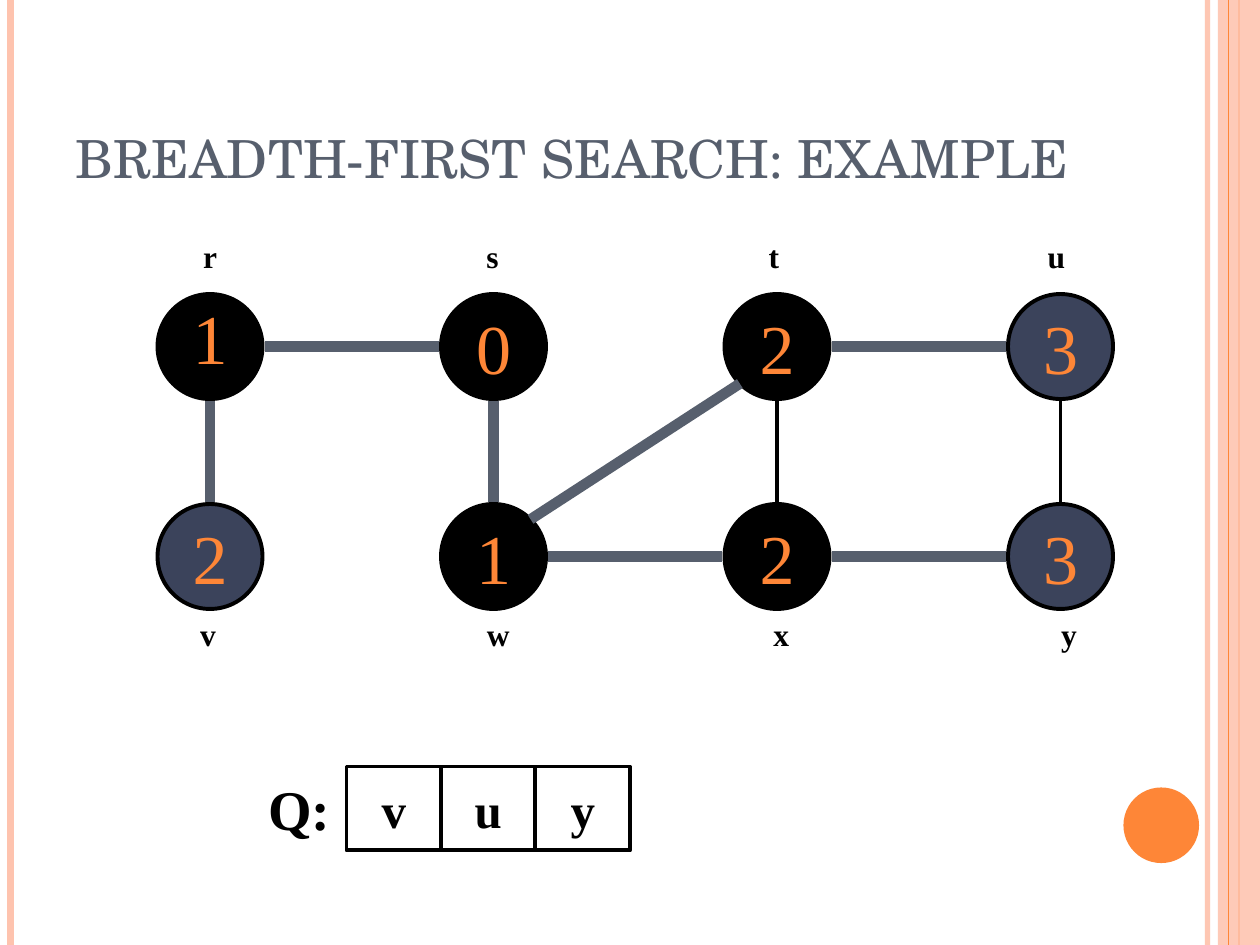
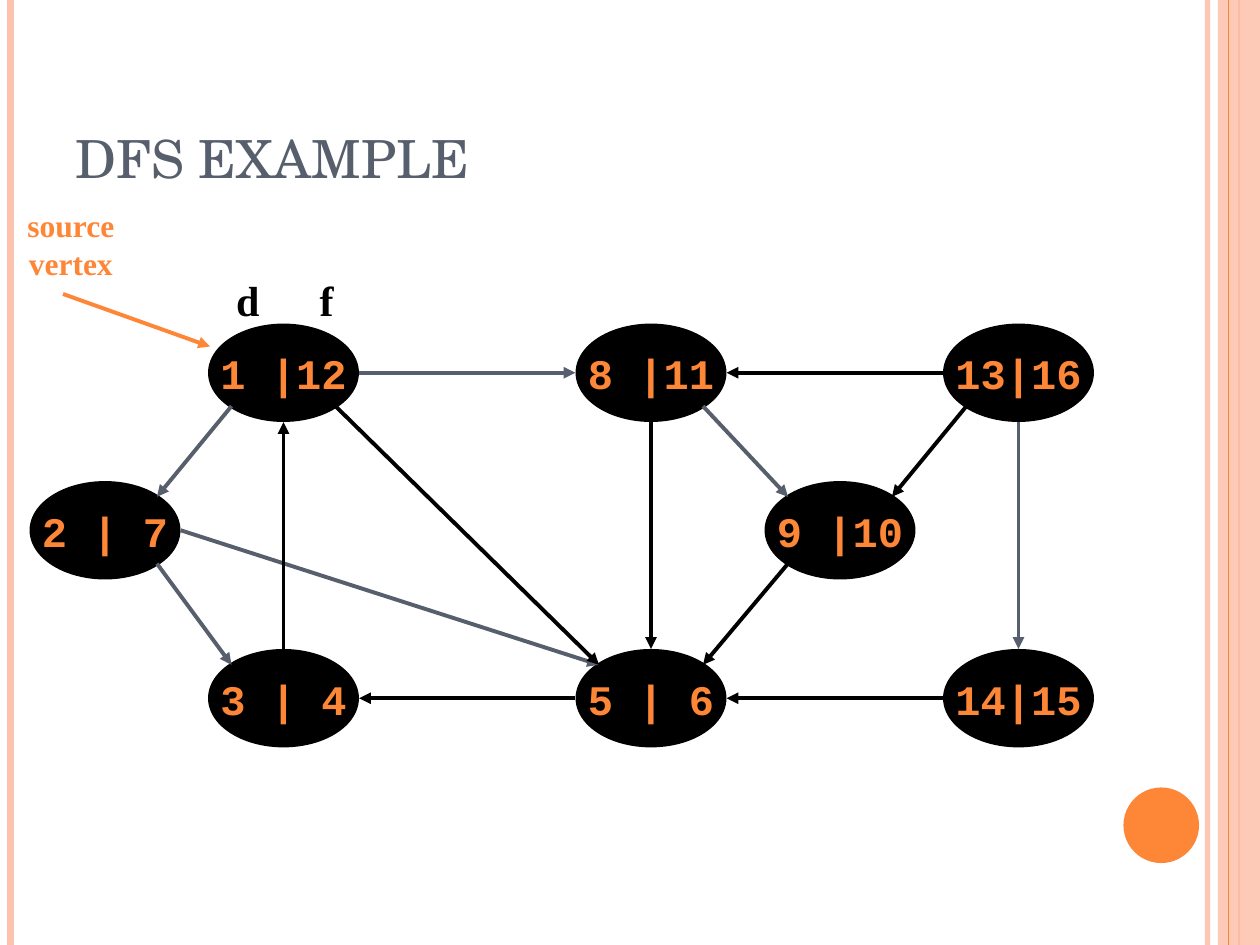
from lxml import etree
from pptx import Presentation
from pptx import util as u
from pptx.dml.color import RGBColor
from pptx.enum import shapes, text
from pptx.oxml import ns

# Colours and fonts
BLACK = RGBColor(0x00, 0x00, 0x00)
ORANGE = RGBColor(0xFE, 0x86, 0x37)
PEACH = RGBColor(0xFE, 0xC3, 0xAE)
SLATE = RGBColor(0x57, 0x5F, 0x6D)
NAVY = RGBColor(0x3B, 0x43, 0x5B)
SERIF, MONO, DISPLAY = "Times New Roman", "Courier New", "TeX Gyre Schola"

# Grid: twelve units to the inch
COLUMNS, ROWS = 120, 90
THIN, TREE_WIDTH = 2.25, 6
EDGE_GAP = 0.2
DIRECTIONS = {"n": (0, -1), "ne": (1, -1), "e": (1, 0), "se": (1, 1),
              "s": (0, 1), "sw": (-1, 1), "w": (-1, 0), "nw": (-1, -1)}


def set_alpha(properties, percent):
    color = properties.find(".//" + ns.qn("a:srgbClr"))
    etree.SubElement(color, ns.qn("a:alpha"), val=str(percent * 1000))


class Deck:
    def __init__(self):
        self.prs = Presentation()
        self.prs.slide_width, self.prs.slide_height = u.Inches(10), u.Inches(7.5)
        self.slide = None

    def x(self, columns):
        return round(self.prs.slide_width * columns / COLUMNS)

    def y(self, rows):
        return round(self.prs.slide_height * rows / ROWS)

    def box(self, left, top, width, height):
        return self.x(left), self.y(top), self.x(width), self.y(height)

    def new_slide(self, title):
        self.slide = self.prs.slides.add_slide(self.prs.slide_layouts[6])
        # Side bands and corner disc
        self.line((115, 0), (115, ROWS), PEACH, 3, alpha=93)
        self.line((1, 0), (1, ROWS), PEACH, 4.5)
        self.line((118, 0), (118, ROWS), ORANGE, 1.5)
        band = self.shape(shapes.MSO_SHAPE.RECTANGLE, (116, 0, 4, ROWS), PEACH)
        set_alpha(band._element.spPr, 87)
        self.line((117, 0), (117, ROWS), ORANGE, 0.75)
        self.shape(shapes.MSO_SHAPE.OVAL, (107, 75, 7.2, 7.2), ORANGE)
        # Title
        heading = self.slide.shapes.add_textbox(*self.box(6, 3.6, 98, 15))
        self.put_text(heading, title, 30, SLATE, DISPLAY, bold=False, wrap=True,
                      align=text.PP_ALIGN.LEFT, anchor=text.MSO_ANCHOR.BOTTOM)

    def put_text(self, holder, words, size, color, font=SERIF, bold=True, wrap=False,
                 align=text.PP_ALIGN.CENTER, anchor=text.MSO_ANCHOR.MIDDLE, spacing=None):
        frame = holder.text_frame
        frame.word_wrap, frame.vertical_anchor = wrap, anchor
        paragraph = frame.paragraphs[0]
        paragraph.alignment = align
        if spacing:
            paragraph.line_spacing = spacing
        for number, part in enumerate(words.split("\n")):
            if number:
                paragraph.add_line_break()
            run = paragraph.add_run()
            run.text = part
            run.font.name, run.font.size, run.font.bold = font, u.Pt(size), bold
            run.font.color.rgb = color

    def shape(self, kind, area, fill=None, outline=None):
        shape = self.slide.shapes.add_shape(kind, *self.box(*area))
        shape.shadow.inherit = False
        if fill is None:
            shape.fill.background()
        else:
            shape.fill.solid()
            shape.fill.fore_color.rgb = fill
        if outline is None:
            shape.line.fill.background()
        else:
            shape.line.color.rgb = outline
            shape.line.width = u.Pt(THIN)
        return shape

    def line(self, start, end, color, width=THIN, arrow=False, alpha=None):
        line = self.slide.shapes.add_connector(
            shapes.MSO_CONNECTOR.STRAIGHT, self.x(start[0]), self.y(start[1]),
            self.x(end[0]), self.y(end[1]))
        line.line.color.rgb, line.line.width = color, u.Pt(width)
        properties = line._element.spPr
        stroke = properties.find(ns.qn("a:ln"))
        if alpha:
            set_alpha(stroke, alpha)
        if arrow:
            etree.SubElement(stroke, ns.qn("a:tailEnd"), type="triangle")
        etree.SubElement(properties, ns.qn("a:effectLst"))

    def label(self, center, words, size=18, color=BLACK, width=4, height=4.8):
        area = center[0] - width / 2, center[1] - height / 2, width, height
        self.put_text(self.slide.shapes.add_textbox(*self.box(*area)), words, size, color)

    def node(self, center, radii, words, size, fill=BLACK, **style):
        area = (center[0] - radii[0], center[1] - radii[1], 2 * radii[0], 2 * radii[1])
        oval = self.shape(shapes.MSO_SHAPE.OVAL, area, fill, BLACK)
        self.put_text(oval, words, size, ORANGE, **style)

    def edge(self, centers, radii, route, *style, **options):
        """Draw a route such as "a e b w": east side of a to west side of b."""
        first, leave, last, arrive = route.split()
        self.line(rim(centers[first], radii, leave), rim(centers[last], radii, arrive),
                  *style, **options)


def rim(center, radii, side):
    """Point on an oval's rim; straight sides keep clear of its outline."""
    step = DIRECTIONS[side]
    diagonal = all(step)
    return [c + s * (r * 0.5 ** 0.5 if diagonal else r + EDGE_GAP)
            for c, s, r in zip(center, step, radii)]


def breadth_first(deck):
    deck.new_slide("BREADTH-FIRST SEARCH: EXAMPLE")
    radii = 5, 5
    centers = {name: (20 + 27 * column, row)
               for row, names in ((33, "rstu"), (53, "vwxy"))
               for column, name in enumerate(names)}
    distances = dict(zip("rvswtxuy", "12012233"))
    queue = "vuy"

    # Vertices
    for name, distance in distances.items():
        deck.node(centers[name], radii, distance, 40, NAVY if name in queue else BLACK,
                  bold=False, spacing=0.7 if name == "r" else None)
    # Vertex names
    for row, places in ((24.4, {"r": 20, "s": 46.9, "t": 73.7, "u": 100.6}),
                        (60.4, {"v": 19.8, "w": 47.2, "x": 74.4, "y": 101.8})):
        for name, column in places.items():
            deck.label((column, row), name)
    # Tree edges, then the others
    for route in ("v n r s", "r e s w", "s s w n", "w ne t sw", "w e x w",
                  "t e u w", "x e y w"):
        deck.edge(centers, radii, route, SLATE, TREE_WIDTH)
    for route in ("x n t s", "y n u s"):
        deck.edge(centers, radii, route, BLACK)
    # Queue
    deck.label((28.5, 77), "Q:", 32, width=9, height=8)
    for place, name in enumerate(queue):
        cell = deck.shape(shapes.MSO_SHAPE.RECTANGLE, (33 + 9 * place, 73, 9, 8),
                          outline=BLACK)
        deck.put_text(cell, name, 28, BLACK)


def depth_first(deck):
    deck.new_slide("DFS EXAMPLE")
    radii = 7, 4.5
    left, middle, right = (27 + 35 * i for i in range(3))
    top, center, bottom = 35.5, 50.5, 66.5
    # Vertices, keyed by discovery time
    vertices = {"1": ("1 |12", left, top), "8": ("8 |11", middle, top),
                "13": ("13|16", right, top), "14": ("14|15", right, bottom),
                "5": ("5 | 6", middle, bottom), "3": ("3 | 4", left, bottom),
                "2": ("2 | 7", 10, center), "9": ("9 |10", 80, center)}
    centers = {key: place for key, (_, *place) in vertices.items()}
    for key, (times, *_) in vertices.items():
        deck.node(centers[key], radii, times, 24, font=MONO)
    # Tree edges, then the others
    for color, routes in (
            (SLATE, ("1 sw 2 ne", "2 se 3 nw", "2 e 5 nw", "1 e 8 w",
                     "8 se 9 nw", "13 s 14 n")),
            (BLACK, ("5 w 3 e", "3 n 1 s", "1 se 5 nw", "8 s 5 n", "13 w 8 e",
                     "13 sw 9 ne", "14 w 5 e", "9 sw 5 ne"))):
        for route in routes:
            deck.edge(centers, radii, route, color, arrow=True)
    # Source pointer and time headings
    deck.line((6, 28), (20, 33), ORANGE, arrow=True)
    deck.label((6.75, 23.2), "source\nvertex", color=ORANGE, width=10.7, height=8.4)
    deck.label((23.3, 28.5), "d", 24)
    deck.label((31.1, 28.5), "f", 24)


def main():
    deck = Deck()
    breadth_first(deck)
    depth_first(deck)
    deck.prs.save("out.pptx")


if __name__ == "__main__":
    main()
